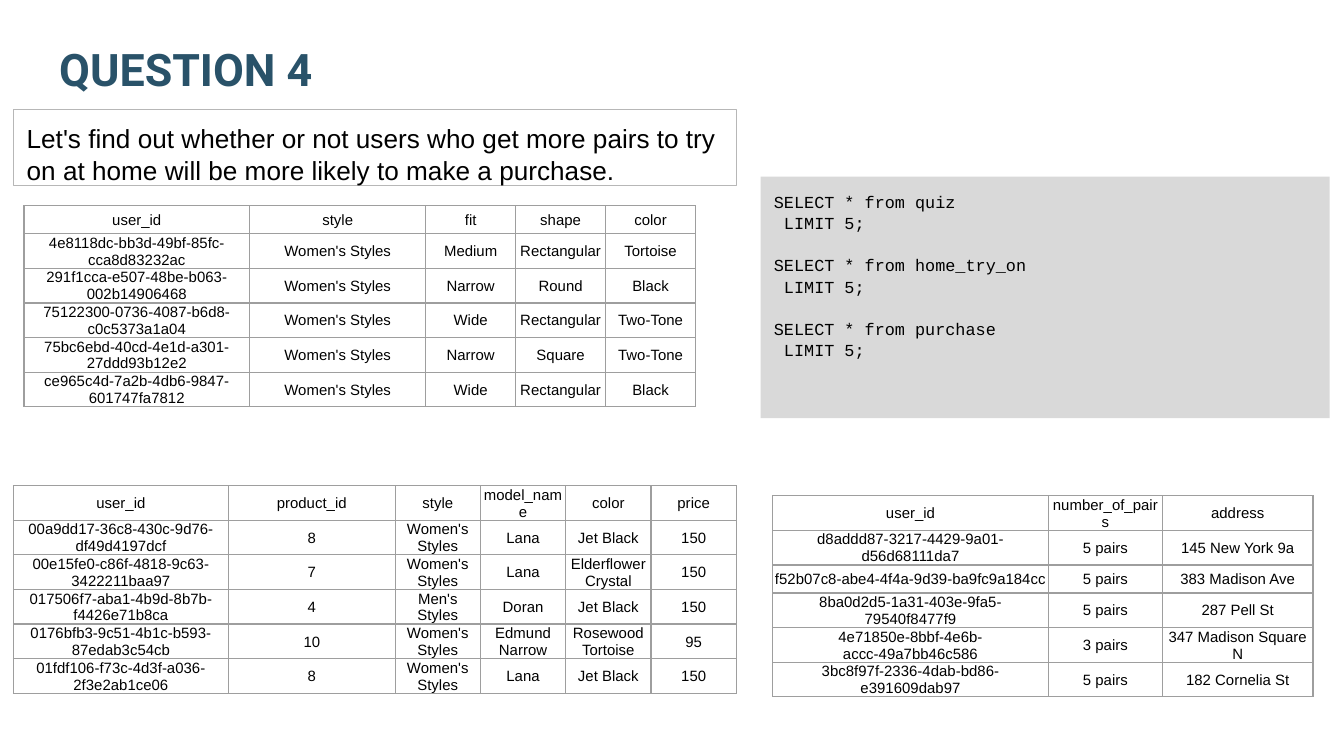
"""Build the Question 4 slide with its prompt, queries and result tables."""
from dataclasses import dataclass

import lxml.etree
import pptx
import pptx.dml.color
import pptx.enum.shapes
import pptx.enum.text
import pptx.oxml.ns
import pptx.util

Pt = pptx.util.Pt
Align = pptx.enum.text.PP_ALIGN
Anchor = pptx.enum.text.MSO_ANCHOR
qn = pptx.oxml.ns.qn

INK = "000000"
GRID = "9E9E9E"
ROW = 15


@dataclass
class Box:
    left: float
    top: float
    width: float
    height: float


@dataclass
class Font:
    name: str
    size: float
    tint: str = INK
    bold: bool = False


@dataclass
class Grid:
    left: float
    top: float
    cols: list[float]
    rows: list[list[str]]


BODY = Font("Arial", 14)
CELL = Font("Arial", 8)
CODE = Font("Courier New", 9)
HEAD = Font("Roboto", 24, "295269", True)

QUERIES = [[f"SELECT * from {name}", " LIMIT 5;"]
           for name in ("quiz", "home_try_on", "purchase")]

QUIZ = Grid(12.8, 110.2, [121, 94.3] + [48.2] * 3, [
    ["user_id", "style", "fit", "shape", "color"],
    ["4e8118dc-bb3d-49bf-85fc-cca8d83232ac", "Women's Styles", "Medium", "Rectangular", "Tortoise"],
    ["291f1cca-e507-48be-b063-002b14906468", "Women's Styles", "Narrow", "Round", "Black"],
    ["75122300-0736-4087-b6d8-c0c5373a1a04", "Women's Styles", "Wide", "Rectangular", "Two-Tone"],
    ["75bc6ebd-40cd-4e1d-a301-27ddd93b12e2", "Women's Styles", "Narrow", "Square", "Two-Tone"],
    ["ce965c4d-7a2b-4db6-9847-601747fa7812", "Women's Styles", "Wide", "Rectangular", "Black"],
])

TRIAL = Grid(414, 265.6, [147.6, 61.2, 80.6], [
    ["user_id", "number_of_pairs", "address"],
    ["d8addd87-3217-4429-9a01-d56d68111da7", "5 pairs", "145 New York 9a"],
    ["f52b07c8-abe4-4f4a-9d39-ba9fc9a184cc", "5 pairs", "383 Madison Ave"],
    ["8ba0d2d5-1a31-403e-9fa5-79540f8477f9", "5 pairs", "287 Pell St"],
    ["4e71850e-8bbf-4e6b-accc-49a7bb46c586", "3 pairs", "347 Madison Square N"],
    ["3bc8f97f-2336-4dab-bd86-e391609dab97", "5 pairs", "182 Cornelia St"],
])

SALES = Grid(7.2, 260.2, [115.2, 89.3] + [45.7] * 4, [
    ["user_id", "product_id", "style", "model_name", "color", "price"],
    ["00a9dd17-36c8-430c-9d76-df49d4197dcf", "8", "Women's Styles", "Lana", "Jet Black", "150"],
    ["00e15fe0-c86f-4818-9c63-3422211baa97", "7", "Women's Styles", "Lana", "Elderflower Crystal", "150"],
    ["017506f7-aba1-4b9d-8b7b-f4426e71b8ca", "4", "Men's Styles", "Doran", "Jet Black", "150"],
    ["0176bfb3-9c51-4b1c-b593-87edab3c54cb", "10", "Women's Styles", "Edmund Narrow", "Rosewood Tortoise", "95"],
    ["01fdf106-f73c-4d3f-a036-2f3e2ab1ce06", "8", "Women's Styles", "Lana", "Jet Black", "150"],
])


def shade(code: str) -> pptx.dml.color.RGBColor:
    return pptx.dml.color.RGBColor.from_string(code)


def write(para, text: str, font: Font, align=Align.LEFT) -> None:
    para.alignment = align
    run = para.add_run()
    run.text = text
    run.font.name = font.name
    run.font.size = Pt(font.size)
    run.font.bold = font.bold
    run.font.color.rgb = shade(font.tint)


def inset(frame, anchor) -> None:
    frame.word_wrap = True
    frame.auto_size = pptx.enum.text.MSO_AUTO_SIZE.NONE
    frame.vertical_anchor = anchor
    frame.margin_left = frame.margin_right = Pt(7.2)
    frame.margin_top = frame.margin_bottom = Pt(7.2)


def place(shape, box: Box) -> None:
    shape.left, shape.top = Pt(box.left), Pt(box.top)
    shape.width, shape.height = Pt(box.width), Pt(box.height)


def panel(slide, box: Box, fill: str | None = None, edge: str | None = None):
    shape = slide.shapes.add_shape(
        pptx.enum.shapes.MSO_SHAPE.RECTANGLE, 0, 0, 0, 0)
    place(shape, box)
    shape.shadow.inherit = False
    if fill:
        shape.fill.solid()
        shape.fill.fore_color.rgb = shade(fill)
    else:
        shape.fill.background()
    if edge:
        shape.line.color.rgb = shade(edge)
        shape.line.width = Pt(0.75)
    else:
        shape.line.fill.background()
    inset(shape.text_frame, Anchor.TOP)
    return shape.text_frame


def rule(cell) -> None:
    props = cell._tc.get_or_add_tcPr()
    for side in ("lnL", "lnR", "lnT", "lnB"):
        line = lxml.etree.SubElement(props, qn(f"a:{side}"), w=str(Pt(0.75)))
        fill = lxml.etree.SubElement(line, qn("a:solidFill"))
        lxml.etree.SubElement(fill, qn("a:srgbClr"), val=GRID)


def draw(slide, grid: Grid) -> None:
    table = slide.shapes.add_table(
        len(grid.rows), len(grid.cols), Pt(grid.left), Pt(grid.top),
        Pt(sum(grid.cols)), Pt(ROW * len(grid.rows))).table
    table.first_row = table.horz_banding = False
    for col, width in zip(table.columns, grid.cols):
        col.width = Pt(width)
    for row, texts in zip(table.rows, grid.rows):
        row.height = Pt(ROW)
        for cell, text in zip(row.cells, texts):
            rule(cell)
            cell.fill.background()
            cell.margin_left = cell.margin_right = cell.margin_top = Pt(0.5)
            cell.margin_bottom = 0
            cell.vertical_anchor = Anchor.MIDDLE
            write(cell.text_frame.paragraphs[0], text, CELL, Align.CENTER)


def list_code(frame) -> None:
    for block, lines in enumerate(QUERIES):
        for index, text in enumerate(lines):
            first = block == index == 0
            para = frame.paragraphs[0] if first else frame.add_paragraph()
            para.line_spacing = 1.07
            para.space_before = Pt(10.9 if block and not index else 0)
            write(para, text, CODE)


def main() -> None:
    deck = pptx.Presentation()
    deck.slide_width, deck.slide_height = Pt(720), Pt(405)
    slide = deck.slides.add_slide(deck.slide_layouts[5])

    title = slide.shapes.title
    place(title, Box(24.5, 23, 671, 35.3))
    inset(title.text_frame, Anchor.BOTTOM)
    write(title.text_frame.paragraphs[0], "QUESTION 4", HEAD)

    list_code(panel(slide, Box(407.5, 94.6, 304.8, 129.4), fill="D9D9D9"))
    goal = panel(slide, Box(7.2, 58.5, 387.4, 40.8), edge="B7B7B7")
    write(goal.paragraphs[0],
          "Let's find out whether or not users who get more pairs to try on "
          "at home will be more likely to make a purchase.", BODY)

    for grid in (QUIZ, TRIAL, SALES):
        draw(slide, grid)
    deck.save("out.pptx")


if __name__ == "__main__":
    main()
